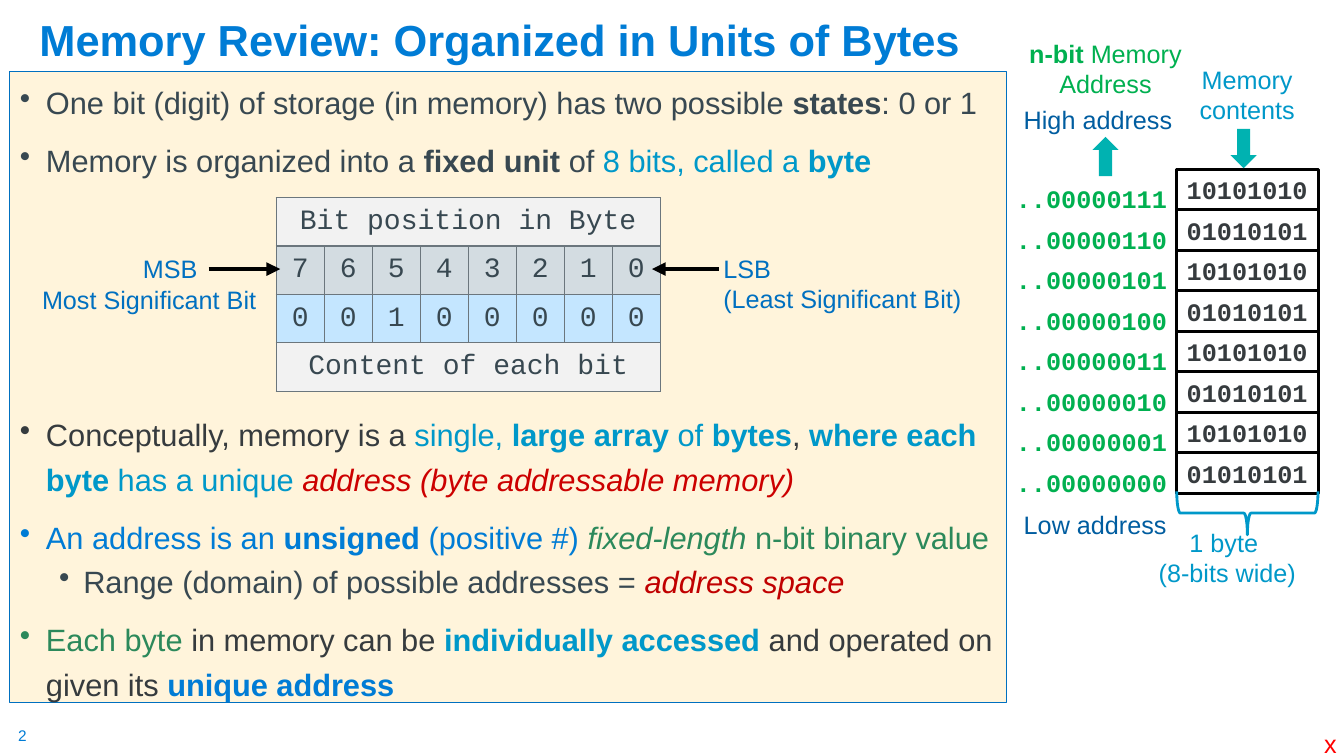
"""Build a slide that explains how memory is organized in bytes."""
from dataclasses import dataclass

from pptx import Presentation
from pptx.dml.color import RGBColor
from pptx.enum.shapes import MSO_CONNECTOR, MSO_SHAPE
from pptx.enum.text import MSO_ANCHOR, PP_ALIGN
from pptx.oxml.ns import qn
from pptx.util import Cm, Pt
from lxml import etree

LEFT, CENTER = PP_ALIGN.LEFT, PP_ALIGN.CENTER
TOP, MIDDLE, BOTTOM = MSO_ANCHOR.TOP, MSO_ANCHOR.MIDDLE, MSO_ANCHOR.BOTTOM
RECTANGLE, BRACE = MSO_SHAPE.RECTANGLE, MSO_SHAPE.RIGHT_BRACE
UP_ARROW, DOWN_ARROW = MSO_SHAPE.UP_ARROW, MSO_SHAPE.DOWN_ARROW
STRAIGHT = MSO_CONNECTOR.STRAIGHT


@dataclass(frozen=True)
class Theme:
    """Fonts, type sizes and colours of the slide."""
    sans: str = "Arial"
    mono: str = "Courier New"
    title_size: float = 31
    body_size: float = 22
    table_size: float = 20
    label_size: float = 18
    page_size: float = 11
    blue: str = "007CD5"
    label_blue: str = "0070C0"
    deep_blue: str = "005DA0"
    cyan: str = "0098C9"
    teal: str = "00B2B1"
    slate: str = "384851"
    dark: str = "363B3E"
    red: str = "CC0000"
    deep_red: str = "C00000"
    bright_red: str = "FF0000"
    green: str = "2C895B"
    bright_green: str = "00B050"
    black: str = "000000"
    cream: str = "FFF4DB"
    band: str = "F2F2F2"
    position_row: str = "D3DCE1"
    content_row: str = "C4E6FF"
    border: str = "6B767D"


THEME = Theme()
TITLE = "Memory Review: Organized in Units of Bytes"

# (level, space before, runs), each run being (text, colour, style)
BULLETS = [
    (0, 10, [("One bit (digit) of storage (in memory) has two possible ", THEME.slate, ""),
             ("states", THEME.slate, "b"), (": 0 or 1", THEME.slate, "")]),
    (0, 10, [("Memory is organized into a ", THEME.slate, ""), ("fixed unit ", THEME.slate, "b"),
             ("of ", THEME.slate, ""), ("8 bits, called a ", THEME.cyan, ""),
             ("byte", THEME.cyan, "b")]),
    (0, 164, [("Conceptually, memory is a ", THEME.dark, ""), ("single, ", THEME.cyan, ""),
              ("large array ", THEME.cyan, "b"), ("of ", THEME.cyan, ""),
              ("bytes", THEME.cyan, "b"), (", ", THEME.dark, ""),
              ("where each byte ", THEME.cyan, "b"), ("has a unique ", THEME.cyan, ""),
              ("address (byte addressable memory)", THEME.red, "i")]),
    (0, 10, [("An address is an ", THEME.blue, ""), ("unsigned", THEME.blue, "b"),
             (" (positive #) ", THEME.blue, ""), ("fixed-length", THEME.green, "i"),
             (" n-bit binary value", THEME.green, "")]),
    (1, 5, [("Range (domain) of possible addresses = ", THEME.slate, ""),
            ("address space", THEME.deep_red, "i")]),
    (0, 10, [("Each byte ", THEME.green, ""), ("in memory can be ", THEME.dark, ""),
             ("individually accessed", THEME.cyan, "b"),
             (" and operated on given its ", THEME.dark, ""),
             ("unique address", THEME.blue, "b")]),
]
LEVELS = [(0.66, 1.2), (1.6, 1.0)]
HANGS = [0.66, 0.61]

BYTE_ROWS = [
    (["Bit position in Byte"], THEME.band),
    (list("76543210"), THEME.position_row),
    (list("00100000"), THEME.content_row),
    (["Content of each bit"], THEME.band),
]
MEMORY = [(f"..{address:08b}", "01010101" if address % 2 == 0 else "10101010")
          for address in range(7, -1, -1)]

# (left, top, width, height), alignment, colour, lines of (text, style) runs
LABELS = [
    ((24.43, 0.84, 6.86, 1.8), CENTER, THEME.bright_green,
     [[("n-bit", "b"), (" Memory", "")], [("Address", "")]]),
    ((25.55, 12.7, 4.5, 1.02), LEFT, THEME.deep_blue, [[("Low address", "")]]),
    ((25.55, 2.51, 4.34, 1.02), LEFT, THEME.deep_blue, [[("High address", "")]]),
    ((28.68, 13.16, 4.5, 1.8), CENTER, THEME.cyan,
     [[("1 byte ", "")], [("(8-bits wide)", "")]]),
    ((29.18, 1.5, 4.5, 1.8), CENTER, THEME.cyan, [[("Memory", "")], [("contents", "")]]),
    ((0.81, 6.27, 5.97, 1.8), LEFT, THEME.label_blue,
     [[("MSB", "")], [("Most Significant Bit", "")]]),
    ((17.98, 6.25, 6.58, 1.8), LEFT, THEME.label_blue,
     [[("LSB", "")], [("(Least Significant Bit)", "")]]),
]
MSB_INDENT = 2.54
BLOCK_ARROWS = [(UP_ARROW, (27.53, 3.45, 0.66, 0.99)), (DOWN_ARROW, (31.01, 3.25, 0.66, 0.99))]
POINTERS = [(5.26, 7.06), (18.11, 16.43)]
POINTER_TOP = 6.78
ROW_PITCH = 1.02


def color(value):
    """Return the colour object of a hex value."""
    return RGBColor.from_string(value)


def lengths(values):
    """Return centimetre values as lengths."""
    return [Cm(value) for value in values]


def add_span(para, text, size, shade, style="", font=THEME.sans):
    """Add one formatted run to a paragraph."""
    span = para.add_run()
    span.text = text
    span.font.name, span.font.size = font, Pt(size)
    span.font.bold, span.font.italic = "b" in style, "i" in style
    span.font.color.rgb = color(shade)


def add_paragraph(frame, index, align=LEFT):
    """Return the paragraph at an index, adding it after the first."""
    para = frame.paragraphs[0] if index == 0 else frame.add_paragraph()
    para.alignment = align
    return para


def add_box(slide, place, lines, align, shade, size=THEME.label_size, font=THEME.sans, inset=0.25):
    """Add a text box of one or more lines and return its frame."""
    frame = slide.shapes.add_textbox(*lengths(place)).text_frame
    frame.word_wrap = True
    frame.margin_left = frame.margin_right = Cm(inset)
    for index, spans in enumerate(lines):
        para = add_paragraph(frame, index, align)
        for text, style in spans:
            add_span(para, text, size, shade, style, font)
    return frame


def add_figure(slide, kind, place, fill=None, line=None, width=2):
    """Add a preset shape with optional fill and line."""
    shape = slide.shapes.add_shape(kind, *lengths(place))
    shape.shadow.inherit = False
    if fill:
        shape.fill.solid()
        shape.fill.fore_color.rgb = color(fill)
    else:
        shape.fill.background()
    if line:
        shape.line.color.rgb, shape.line.width = color(line), Pt(width)
    else:
        shape.line.fill.background()
    return shape


def add_title(slide):
    """Place and format the slide title."""
    title = slide.shapes.title
    title.left, title.top, title.width, title.height = lengths((0.74, 0.28, 29.21, 1.52))
    title.text_frame.vertical_anchor = BOTTOM
    para = add_paragraph(title.text_frame, 0)
    para.line_spacing = 0.9
    add_span(para, TITLE, THEME.title_size, THEME.blue, "b")


def add_body(slide):
    """Add the panel with the bulleted text."""
    panel = add_figure(slide, RECTANGLE, (0.25, 1.8, 25.12, 15.9), THEME.cream,
                       THEME.label_blue, 0.75)
    frame = panel.text_frame
    frame.word_wrap, frame.vertical_anchor = True, TOP
    for index, (level, space, spans) in enumerate(BULLETS):
        para = add_paragraph(frame, index)
        indent, para.line_spacing = LEVELS[level]
        para.level, para.space_before = level, Pt(space)
        properties = para._p.get_or_add_pPr()
        properties.set("marL", str(Cm(indent)))
        properties.set("indent", str(-Cm(HANGS[level])))
        etree.SubElement(properties, qn("a:buChar")).set("char", "•")
        for text, shade, style in spans:
            add_span(para, text, THEME.body_size, shade, style)


def add_borders(cell):
    """Draw a thin line on all four sides of a cell."""
    properties = cell._tc.get_or_add_tcPr()
    for index, side in enumerate(("a:lnL", "a:lnR", "a:lnT", "a:lnB")):
        line = etree.Element(qn(side), w=str(Pt(1)))
        fill = etree.SubElement(line, qn("a:solidFill"))
        etree.SubElement(fill, qn("a:srgbClr")).set("val", THEME.border)
        properties.insert(index, line)


def add_byte_table(slide):
    """Add the table of the bit positions in a byte."""
    count = len(BYTE_ROWS[1][0])
    place = lengths((6.96, 4.98, 1.21 * count, 1.22 * len(BYTE_ROWS)))
    table = slide.shapes.add_table(len(BYTE_ROWS), count, *place).table
    for row, (texts, fill) in enumerate(BYTE_ROWS):
        if len(texts) == 1:
            table.cell(row, 0).merge(table.cell(row, count - 1))
        for column in range(count):
            cell = table.cell(row, column)
            cell.fill.solid()
            cell.fill.fore_color.rgb = color(fill)
            cell.vertical_anchor = MIDDLE
            add_borders(cell)
            if column < len(texts):
                para = add_paragraph(cell.text_frame, 0, CENTER)
                add_span(para, texts[column], THEME.table_size, THEME.slate, font=THEME.mono)


def add_pointer(slide, start, end):
    """Add a horizontal arrow from start to end."""
    pointer = slide.shapes.add_connector(
        STRAIGHT, *lengths((start, POINTER_TOP, end, POINTER_TOP)))
    pointer.line.color.rgb, pointer.line.width = color(THEME.black), Pt(3.25)
    etree.SubElement(pointer.line._get_or_add_ln(), qn("a:tailEnd")).set("type", "triangle")
    etree.SubElement(pointer._element.spPr, qn("a:effectLst"))


def add_memory(slide):
    """Add the column of addresses and the column of byte contents."""
    for row, (address, content) in enumerate(MEMORY):
        shift = row * ROW_PITCH
        add_box(slide, (25.35, 4.5 + shift, 4.6, ROW_PITCH), [[(address, "b")]], LEFT,
                THEME.bright_green, font=THEME.mono)
        cell = add_figure(slide, RECTANGLE, (29.64, 4.27 + shift, 3.58, ROW_PITCH),
                          line=THEME.black)
        cell.text_frame.vertical_anchor = MIDDLE
        para = add_paragraph(cell.text_frame, 0, CENTER)
        add_span(para, content, THEME.label_size, THEME.dark, "b", THEME.mono)


def main():
    """Build and save the deck."""
    deck = Presentation()
    deck.slide_width, deck.slide_height = Cm(33.87), Cm(19.05)
    slide = deck.slides.add_slide(deck.slide_layouts[5])
    add_title(slide)
    add_body(slide)
    add_memory(slide)
    for kind, place in BLOCK_ARROWS:
        add_figure(slide, kind, place, THEME.teal)
    add_figure(slide, BRACE, (30.89, 11.15, 1.09, 3.56), line=THEME.cyan).rotation = 90
    add_byte_table(slide)
    for place, align, shade, lines in LABELS:
        frame = add_box(slide, place, lines, align, shade)
        if lines[0][0][0] == "MSB":
            frame.paragraphs[0]._p.get_or_add_pPr().set("marL", str(Cm(MSB_INDENT)))
    for start, end in POINTERS:
        add_pointer(slide, start, end)
    page = add_box(slide, (0.46, 18.31, 0.48, 0.48), [[("2", "")]], LEFT, THEME.blue,
                   THEME.page_size, inset=0)
    page.margin_top = page.margin_bottom = 0
    add_box(slide, (33.37, 18.24, 0.46, 0.8), [[("x", "")]], LEFT, THEME.bright_red, inset=0)
    deck.save("out.pptx")


if __name__ == "__main__":
    main()
